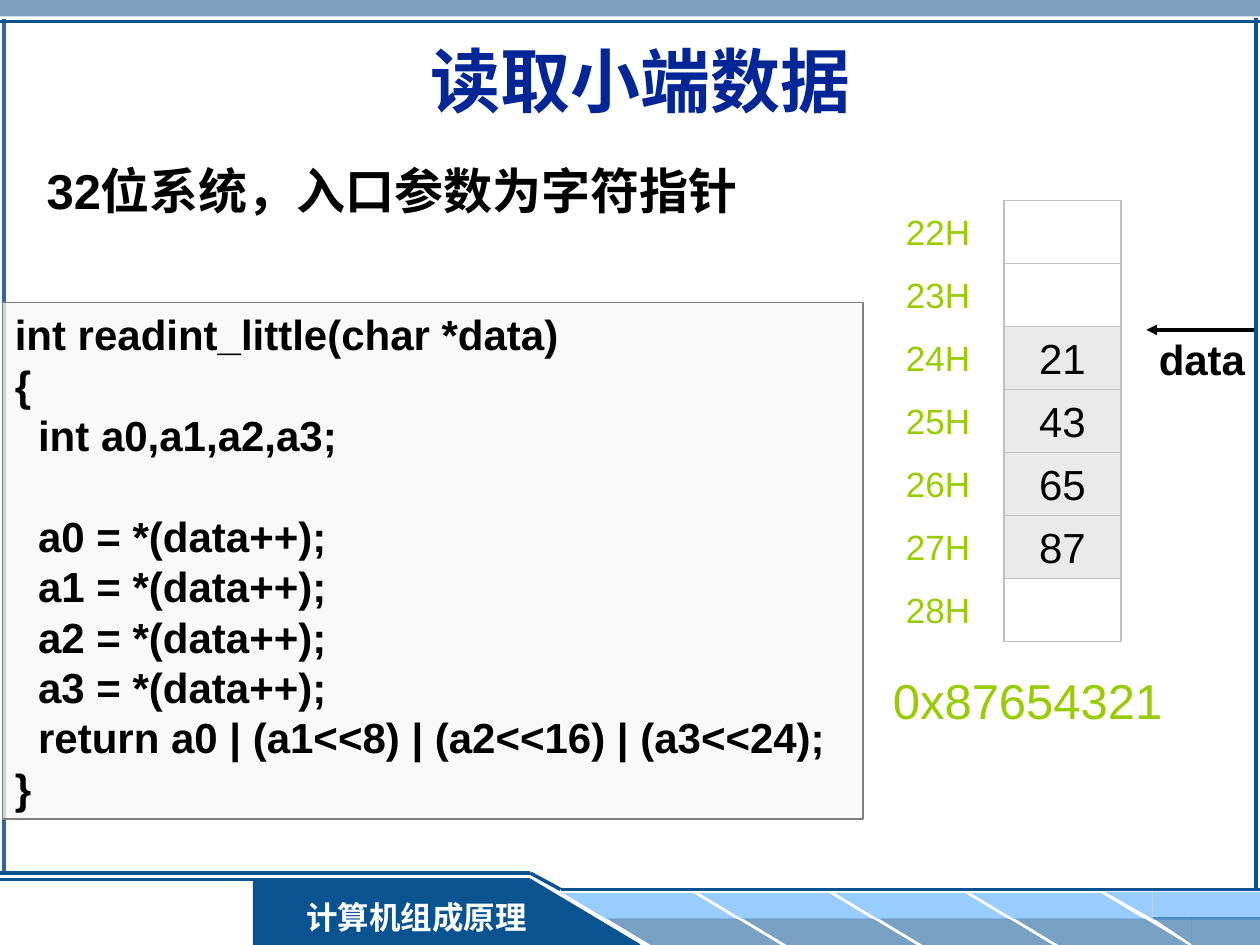
from lxml.etree import SubElement
from pptx import Presentation
from pptx.dml.color import RGBColor
from pptx.enum.shapes import MSO_CONNECTOR, MSO_SHAPE
from pptx.enum.text import MSO_ANCHOR, PP_ALIGN
from pptx.oxml.ns import qn
from pptx.util import Cm, Pt

NAVY, SKY, TITLE_BLUE = "095391", "99CCFF", "032697"
BLACK, WHITE, GREEN = "000000", "FFFFFF", "99CC00"
LEFT, CENTER, RIGHT = PP_ALIGN.LEFT, PP_ALIGN.CENTER, PP_ALIGN.RIGHT
TOP, MIDDLE = MSO_ANCHOR.TOP, MSO_ANCHOR.MIDDLE

CODE = """int readint_little(char *data)
{
  int a0,a1,a2,a3;
    
  a0 = *(data++);
  a1 = *(data++);
  a2 = *(data++);
  a3 = *(data++);
  return a0 | (a1<<8) | (a2<<16) | (a3<<24);
}"""


def rgb(value):
    return RGBColor.from_string(value)


def write(tf, text, size=24, color=BLACK, bold=False, align=LEFT,
          anchor=TOP, wrap=True, font="Arial"):
    tf.word_wrap = wrap
    tf.vertical_anchor = anchor
    for i, line in enumerate(text.split("\n")):
        p = tf.add_paragraph() if i else tf.paragraphs[0]
        p.alignment = align
        r = p.add_run()
        r.text = line
        r.font.name = font
        r.font.size = Pt(size)
        r.font.bold = bold
        r.font.color.rgb = rgb(color)


class Deck:
    """Slide and its drawing style; all lengths are in centimetres."""

    def __init__(self, prs):
        self.s = prs.slides.add_slide(prs.slide_layouts[5])

    def title(self, box, text, **fmt):
        sp = self.s.shapes.title
        sp.left, sp.top, sp.width, sp.height = map(Cm, box)
        write(sp.text_frame, text, **fmt)

    def text(self, box, text, **fmt):
        sp = self.s.shapes.add_textbox(*map(Cm, box))
        write(sp.text_frame, text, **fmt)

    def shape(self, box, fill=None, alpha=100, line=None, kind=MSO_SHAPE.RECTANGLE,
              text="", **fmt):
        sp = self.s.shapes.add_shape(kind, *map(Cm, box))
        sp.shadow.inherit = False
        if fill:
            sp.fill.solid()
            sp.fill.fore_color.rgb = rgb(fill)
            if alpha < 100:
                color = sp.fill._xPr.find(qn("a:solidFill"))[0]
                SubElement(color, qn("a:alpha"), val=str(alpha * 1000))
        else:
            sp.fill.background()
        if line:
            sp.line.color.rgb = rgb(line)
            sp.line.width = Pt(0.75)
        else:
            sp.line.fill.background()
        if text:
            write(sp.text_frame, text, **fmt)
        return sp

    def slanted(self, box, fill, alpha=100):
        sp = self.shape(box, fill, alpha, kind=MSO_SHAPE.PARALLELOGRAM)
        sp.adjustments[0] = 1.66
        sp._element.spPr.xfrm.set("flipH", "1")

    def line(self, x1, y1, x2, y2, color=NAVY, width=2, arrow=False):
        c = self.s.shapes.add_connector(MSO_CONNECTOR.STRAIGHT,
                                        Cm(x1), Cm(y1), Cm(x2), Cm(y2))
        c.line.color.rgb = rgb(color)
        c.line.width = Pt(width)
        if arrow:
            SubElement(c.line._get_or_add_ln(), qn("a:tailEnd"), type="triangle")
        SubElement(c._element.spPr, qn("a:effectLst"))


def draw_frame(deck):
    # Top band and left edge
    deck.shape((0, 0, 25.4, 0.33), "336699", 63)
    deck.line(0.08, 0.38, 0.08, 17.6, color="336699")

    # Footer: course tab
    deck.shape((5.1, 17.73, 5.6, 1.32), NAVY)
    deck.line(12.9, 19.05, 10.69, 17.73, width=1)
    deck.line(10.69, 17.73, 0, 17.73, width=1.5)
    deck.line(0, 17.6, 10.69, 17.6)

    # Footer: two rows of slanted tiles, closed at the right edge
    for i in range(4):
        x = 11.35 + i * 2.74
        deck.slanted((x, 18, 3.5, 0.53), SKY)
        deck.slanted((x + 0.89, 18.52, 3.5, 0.53), NAVY, 54)
    for x, y, corner, fill, alpha in ((22.28, 17.98, 0.95, SKY, 100),
                                      (23.22, 18.49, 0.8, NAVY, 54)):
        deck.shape((x + corner, y, 25.4 - x - corner, 0.56), fill, alpha)
        sp = deck.shape((x, y, corner, 0.54), fill, alpha,
                        kind=MSO_SHAPE.RIGHT_TRIANGLE)
        sp.rotation = 180
    deck.line(11.3, 17.93, 25.4, 17.93)
    deck.shape((5.79, 17.98, 5.21, 1.02), NAVY, text="计算机组成原理", size=18,
               color=WHITE, bold=True, align=CENTER, anchor=MIDDLE,
               font="Times New Roman")
    deck.shape((10.67, 17.73, 2.21, 1.32), NAVY, kind=MSO_SHAPE.RIGHT_TRIANGLE)
    deck.line(10.69, 17.6, 11.3, 17.93)

    # Top rule and right edge
    deck.line(0, 0.43, 25.4, 0.43)
    deck.line(25.32, 0.36, 25.32, 17.95)


def draw_memory(deck):
    # Memory cells with their addresses
    top, height = 4.04, 1.27
    for i, value in enumerate(("", "", "21", "43", "65", "87", "")):
        y = top + i * height
        deck.shape((20.24, y, 2.36, height), "EAEAEA" if value else None,
                   line="C0C0C0", text=value, align=CENTER, anchor=MIDDLE, wrap=False)
        deck.text((17.7, y, 2.11, height), f"{22 + i}H", size=20, color=GREEN,
                  align=RIGHT, anchor=MIDDLE, wrap=False)
    deck.text((17.75, 13.39, 5.94, 1.45), "0x87654321", size=28, color=GREEN, wrap=False)

    # Pointer
    deck.text((23.11, 6.6, 2.24, 1.27), "data", bold=True, align=CENTER, wrap=False)
    deck.line(25.27, 6.65, 23.11, 6.65, color=BLACK, arrow=True)


def main():
    prs = Presentation()
    prs.slide_width, prs.slide_height = Cm(25.4), Cm(19.05)
    deck = Deck(prs)
    draw_frame(deck)

    # Title and lead line
    deck.title((0.89, 0.71, 24.05, 1.8), "读取小端数据", size=40, color=TITLE_BLUE,
               bold=True, align=CENTER, anchor=MIDDLE)
    deck.text((0.69, 3.12, 24.2, 1.96), "32位系统，入口参数为字符指针", size=28, bold=True)

    # Code listing
    deck.shape((0.05, 6.1, 17.35, 10.41), "F8F8F8", 76, line="808080",
               text=CODE, bold=True)
    draw_memory(deck)
    prs.save("out.pptx")


if __name__ == "__main__":
    main()
